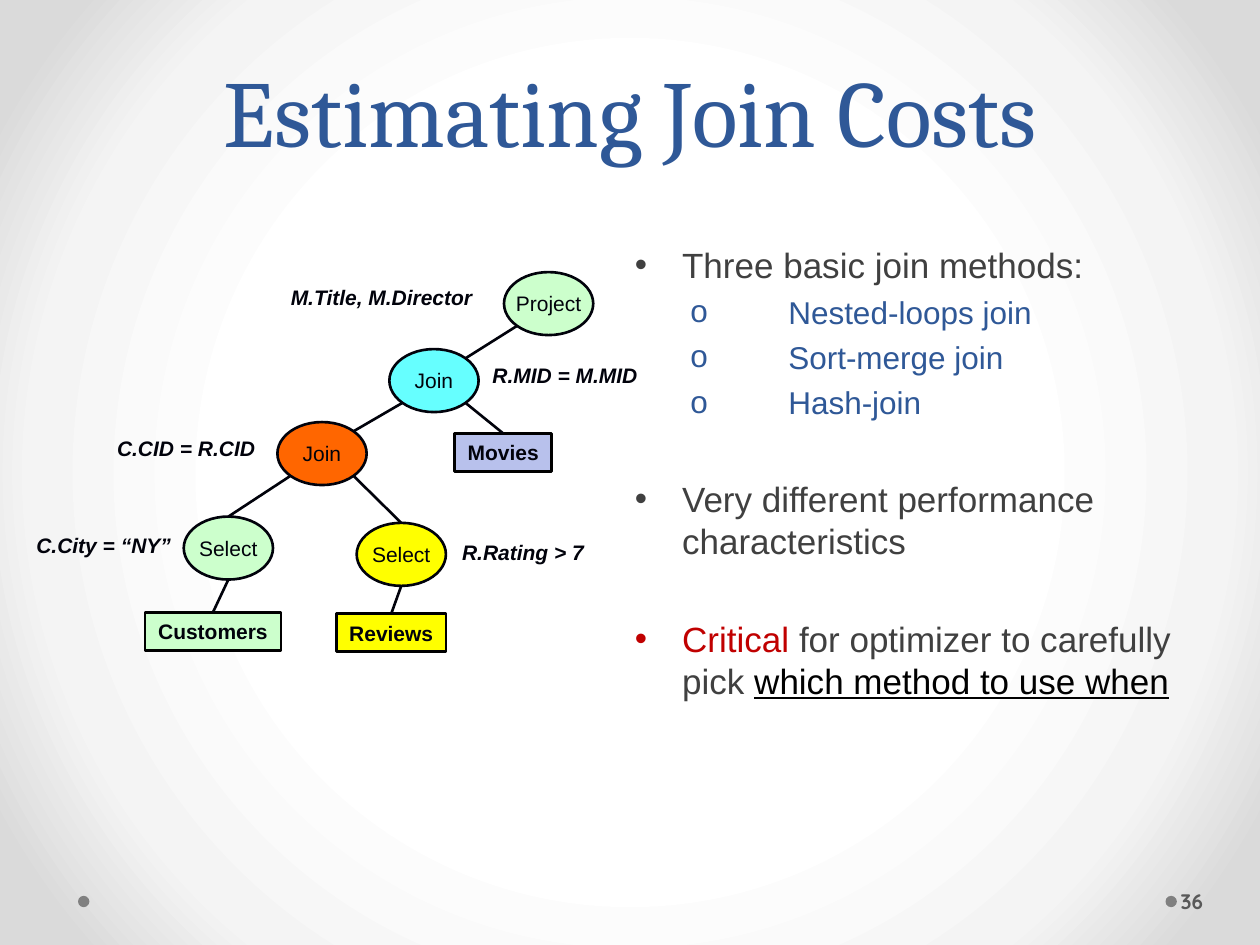
from math import sqrt

from lxml import etree
from pptx import Presentation
from pptx.dml.color import RGBColor
from pptx.enum.shapes import MSO_CONNECTOR as Link, MSO_SHAPE as Kind
from pptx.enum.text import MSO_ANCHOR as Anchor, PP_ALIGN as Align
from pptx.oxml.ns import qn
from pptx.util import Pt

BLUE = RGBColor(0x2F, 0x58, 0x97)
GRAY = RGBColor(0x40, 0x40, 0x40)
DIM = RGBColor(0x59, 0x59, 0x59)
DOT = RGBColor(0x80, 0x80, 0x80)
RED = RGBColor(0xC0, 0x00, 0x00)
BLACK = RGBColor(0x00, 0x00, 0x00)
INK = RGBColor(0x01, 0x02, 0x0B)
MINT = RGBColor(0xCC, 0xFF, 0xCC)
CYAN = RGBColor(0x66, 0xFF, 0xFF)
ORANGE = RGBColor(0xFF, 0x66, 0x00)
YELLOW = RGBColor(0xFF, 0xFF, 0x00)
LILAC = RGBColor(0xB8, 0xC1, 0xEC)
SHADES = (50, "FFFFFF"), (76, "F4F4F4"), (92, "DADADA")

OVAL = 51, 36
NODES = {
    "project": ("Project", 274.5, 0, MINT),
    "outer": ("Join", 209, 44, CYAN),
    "inner": ("Join", 145, 85.7, ORANGE),
    "city": ("Select", 91.5, 139.7, MINT),
    "rating": ("Select", 190.3, 143.3, YELLOW),
}
TABLES = {
    "movies": ("Movies", 246.4, 92.2, 55.4, LILAC),
    "customers": ("Customers", 69.3, 194.4, 77.8, MINT),
    "reviews": ("Reviews", 178.8, 195.1, 62.6, YELLOW),
}
LABELS = [
    ("M.Title, M.Director", 145.6, 3.6, 125),
    ("R.MID = M.MID", 260.8, 48.3, 104.5),
    ("C.CID = R.CID", 46.3, 90, 94),
    ("C.City = “NY”", 0.2, 145.5, 107),
    ("R.Rating > 7", 243.5, 149, 88),
]
EDGES = [
    ("project", -1, "outer"), ("outer", -1, "inner"), ("outer", 1, "movies"),
    ("inner", -1, "city"), ("inner", 1, "rating"),
    ("city", 0, "customers"), ("rating", 0, "reviews"),
]
POINTS = [
    (0, 0, [("Three basic join methods:", GRAY)]),
    (1, 4.3, [("Nested-loops join", BLUE)]),
    (1, 4.3, [("Sort-merge join", BLUE)]),
    (1, 4.3, [("Hash-join", BLUE)]),
    (0, 32, [("Very different performance characteristics", GRAY)]),
    (0, 32, [("Critical ", RED), ("for optimizer to carefully pick ", GRAY),
             ("which method to use when", BLACK)]),
]


def style(font, name, size, color, bold=False, italic=False):
    """Set the look of a font."""
    font.name, font.size, font.color.rgb = name, Pt(size), color
    font.bold, font.italic = bold, italic


def write(shapes, text, box, look, align=Align.LEFT, anchor=Anchor.TOP):
    """Add a text box with one paragraph and return its frame."""
    frame = shapes.add_textbox(*map(Pt, box)).text_frame
    frame.word_wrap, frame.vertical_anchor = True, anchor
    frame.text = text
    para = frame.paragraphs[0]
    para.alignment = align
    style(para.runs[0].font, *look)
    return frame


def paint(shapes, kind, box, fill):
    """Add a flat filled shape."""
    shape = shapes.add_shape(kind, *map(Pt, box))
    shape.shadow.inherit = False
    shape.fill.solid()
    shape.fill.fore_color.rgb = fill
    shape.line.fill.background()
    return shape


def backdrop(slide):
    """Fill the background with a radial gradient."""
    slide.background.fill.gradient()
    grad = next(slide.element.iter(qn("a:gradFill")))
    for child in list(grad):
        grad.remove(child)
    stops = etree.SubElement(grad, qn("a:gsLst"))
    for pos, shade in SHADES:
        stop = etree.SubElement(stops, qn("a:gs"), pos=str(pos * 1000))
        etree.SubElement(stop, qn("a:srgbClr"), val=shade)
    ring = etree.SubElement(grad, qn("a:path"), path="circle")
    etree.SubElement(ring, qn("a:fillToRect"), {side: "50000" for side in "ltrb"})


def heading(slide, box):
    """Place the slide title."""
    frame = write(slide.shapes, "Estimating Join Costs", box,
                  ("Cambria", 54, BLUE), Align.CENTER, Anchor.BOTTOM)
    frame.paragraphs[0].line_spacing = Pt(58)


def bullets(slide, box):
    """Place the two-level bullet list."""
    frame = slide.shapes.add_textbox(*map(Pt, box)).text_frame
    frame.word_wrap = True
    for i, (level, gap, parts) in enumerate(POINTS):
        para = frame.add_paragraph() if i else frame.paragraphs[0]
        left, hang, mark, size = ((27, 27, "•", 20), (87.7, 56, "o", 18))[level]
        props = para._p.get_or_add_pPr()
        props.set("marL", str(Pt(left)))
        props.set("indent", str(-Pt(hang)))
        etree.SubElement(props, qn("a:buFont"), typeface="Arial")
        etree.SubElement(props, qn("a:buChar"), char=mark)
        para.level = level
        para.space_before = Pt(gap)
        for text, color in parts:
            run = para.add_run()
            run.text = text
            style(run.font, "Arial", size, color)
            run.font.underline = color == BLACK


def node(shapes, kind, text, box, fill, edge, bold):
    """Add an outlined tree node with a centred name."""
    shape = paint(shapes, kind, box, fill)
    shape.line.color.rgb, shape.line.width = edge, Pt(1.5)
    frame = shape.text_frame
    frame.word_wrap, frame.vertical_anchor = False, Anchor.MIDDLE
    frame.text = text
    frame.paragraphs[0].alignment = Align.CENTER
    style(frame.paragraphs[0].runs[0].font, "Arial", 12, INK, bold)
    return shape


def rim(oval, across, down):
    """Return the point on an oval's rim in the given direction."""
    reach = sqrt(across ** 2 + down ** 2) * 2
    return (int(oval.left + oval.width / 2 + across * oval.width / reach),
            int(oval.top + oval.height / 2 + down * oval.height / reach))


def tree(slide, box):
    """Place the query plan with its conditions."""
    x, y = box
    shapes = slide.shapes.add_group_shape().shapes
    parts = {}
    for key, (text, dx, dy, fill) in NODES.items():
        parts[key] = node(shapes, Kind.OVAL, text, (x + dx, y + dy, *OVAL),
                          fill, INK, False)
    for key, (text, dx, dy, wide, fill) in TABLES.items():
        parts[key] = node(shapes, Kind.RECTANGLE, text,
                          (x + dx, y + dy, wide, 21.8), fill, BLACK, True)
    for text, dx, dy, wide in LABELS:
        write(shapes, text, (x + dx, y + dy, wide, 21.8),
              ("Arial", 12, INK, True, True))
    for above, side, below in EDGES:
        child = parts[below]
        corner = below in ("outer", "inner")
        line = shapes.add_connector(Link.STRAIGHT, *rim(parts[above], side, 1),
                                    *rim(child, int(corner), -1))
        if not corner:
            line.end_connect(child, 0)
        line.line.color.rgb, line.line.width = INK, Pt(1.5)
        etree.SubElement(line.element.spPr, qn("a:effectLst"))


def footer(slide, box):
    """Place the two dots and the page number."""
    x, y, wide, high = box
    for left in (x, x + wide):
        paint(slide.shapes, Kind.OVAL, (left, y + 11.5, 6.5, 6.5), DOT)
    frame = write(slide.shapes, "36", (x + wide + 6.5, y, 44, high),
                  ("Quicksand", 12, DIM, True), anchor=Anchor.MIDDLE)
    frame.margin_left, frame.margin_right = Pt(2.2), Pt(3.6)


def main():
    """Build and save the slide."""
    deck = Presentation()
    deck.slide_width, deck.slide_height = Pt(720), Pt(540)
    slide = deck.slides.add_slide(deck.slide_layouts[6])
    backdrop(slide)
    footer(slide, (44.6, 500.4, 621.4, 28.8))
    heading(slide, (36, 26.6, 648, 72))
    bullets(slide, (355.7, 135.4, 321.8, 347.8))
    tree(slide, (13.5, 155.5))
    deck.save("out.pptx")


if __name__ == "__main__":
    main()
